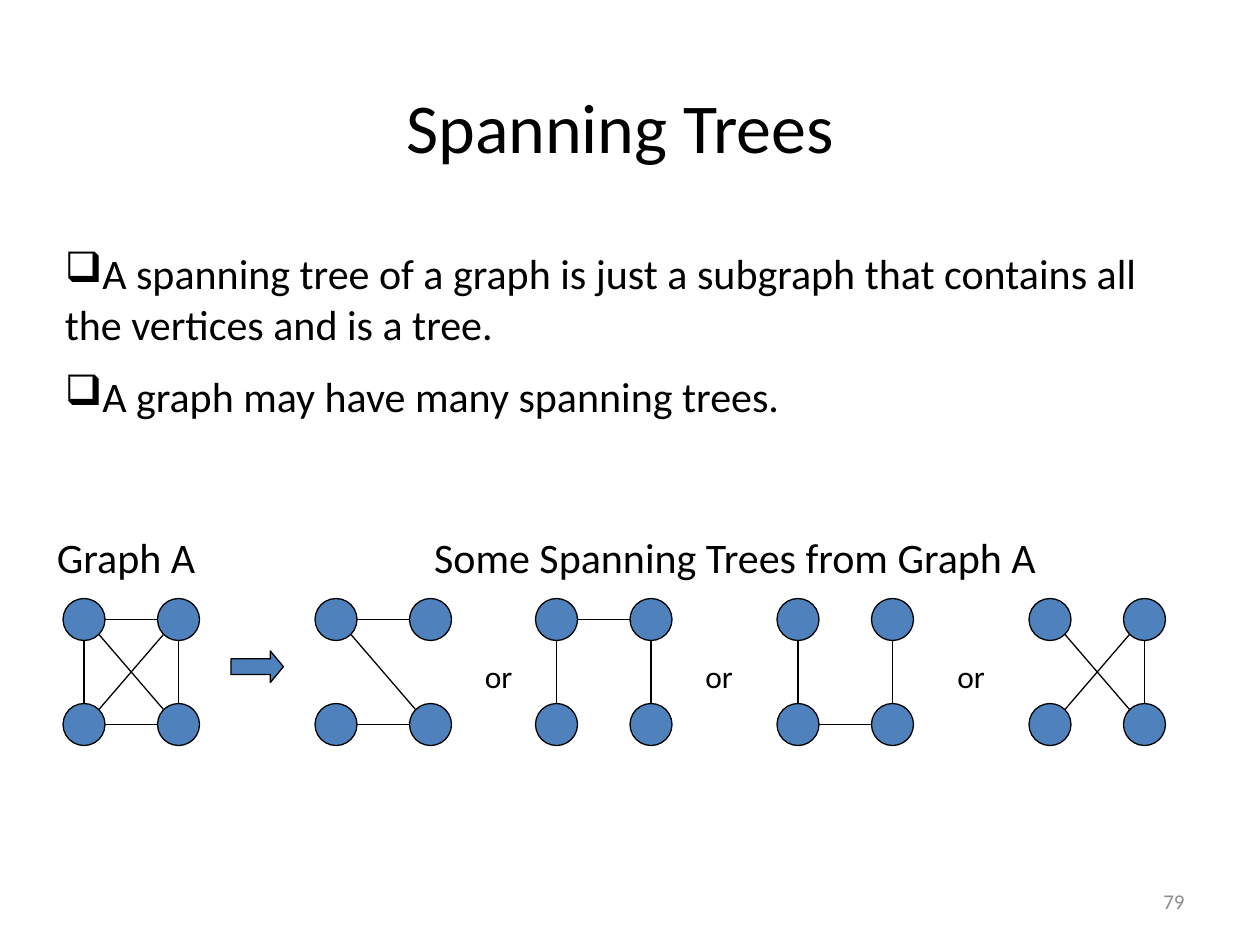
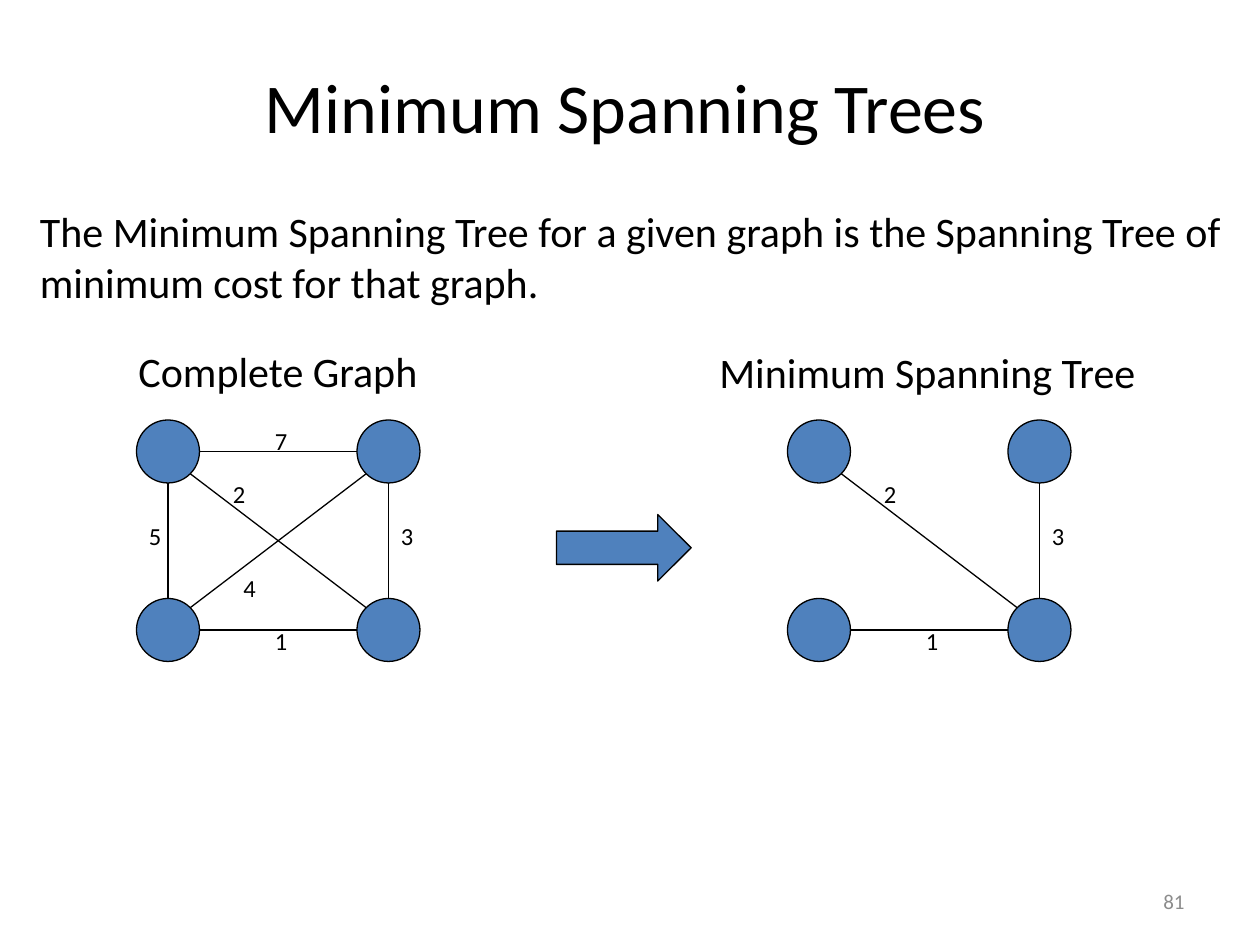
import math
from dataclasses import dataclass
from typing import NamedTuple

import pptx
import pptx.dml.color
import pptx.enum.shapes
import pptx.enum.text
import pptx.oxml.ns
import pptx.shapes.autoshape
import pptx.slide
import pptx.util
from lxml import etree

Pt = pptx.util.Pt
RGBColor = pptx.dml.color.RGBColor
MSO_SHAPE = pptx.enum.shapes.MSO_SHAPE
PP_ALIGN = pptx.enum.text.PP_ALIGN
MSO_ANCHOR = pptx.enum.text.MSO_ANCHOR
qn = pptx.oxml.ns.qn

BLACK = RGBColor(0x00, 0x00, 0x00)
BLUE = RGBColor(0x4F, 0x81, 0xBD)
GREY = RGBColor(0x8C, 0x8C, 0x8C)
FONT = "Calibri"
LINE_WIDTH = 0.75
TITLE_SIZE, BODY_SIZE, OR_SIZE, WEIGHT_SIZE, NUMBER_SIZE = 40, 24, 18, 14, 12


class Box(NamedTuple):
    left: float
    top: float
    width: float
    height: float

    def emu(self) -> list[int]:
        return [Pt(v) for v in self]


class Node(NamedTuple):
    col: int
    row: int


class Edge(NamedTuple):
    start: Node
    end: Node


class Weight(NamedTuple):
    """A cost, with its label's offset from the graph's top left corner."""
    cost: str
    dx: float
    dy: float


@dataclass(frozen=True)
class GraphStyle:
    diameter: float
    col_step: float
    row_step: float
    weighted: bool = False


@dataclass(frozen=True)
class Graph:
    left: float
    top: float
    edges: tuple[Edge, ...]


NODES = TL, TR, BL, BR = Node(0, 0), Node(1, 0), Node(0, 1), Node(1, 1)
TOP, LEFT, BOTTOM, RIGHT = Edge(TL, TR), Edge(TL, BL), Edge(BL, BR), Edge(TR, BR)
RISING, FALLING = Edge(TR, BL), Edge(TL, BR)
ALL_EDGES = (TOP, LEFT, BOTTOM, RIGHT, RISING, FALLING)
WEIGHTS = {
    LEFT: Weight("5", 0, 54),
    TOP: Weight("7", 72, 0),
    FALLING: Weight("2", 48, 30),
    BOTTOM: Weight("1", 72, 114),
    RIGHT: Weight("3", 144, 54),
    RISING: Weight("4", 54, 84),
}

SMALL = GraphStyle(diameter=24, col_step=54, row_step=60)
LARGE = GraphStyle(diameter=36, col_step=126, row_step=102, weighted=True)

SMALL_TOP, LARGE_TOP = 342, 240
GRAPH_A_AND_TREES = (
    Graph(36, SMALL_TOP, ALL_EDGES),
    Graph(180, SMALL_TOP, (TOP, BOTTOM, FALLING)),
    Graph(306, SMALL_TOP, (TOP, LEFT, RIGHT)),
    Graph(444, SMALL_TOP, (LEFT, BOTTOM, RIGHT)),
    Graph(588, SMALL_TOP, (RIGHT, RISING, FALLING)),
)
COMPLETE_AND_MINIMUM = (
    Graph(78, LARGE_TOP, ALL_EDGES),
    Graph(450, LARGE_TOP, (BOTTOM, RIGHT, FALLING)),
)
OR_LEFTS = (270, 396, 540)


def add_text(slide: pptx.slide.Slide, box: Box, *lines: str, size: float = BODY_SIZE,
             color: RGBColor = BLACK, align: PP_ALIGN = PP_ALIGN.LEFT,
             wrap: bool = True) -> pptx.shapes.autoshape.Shape:
    sp = slide.shapes.add_textbox(*box.emu())
    tf = sp.text_frame
    tf.word_wrap = wrap
    tf.text = "\n".join(lines)
    for p in tf.paragraphs:
        p.alignment = align
        p.font.name = FONT
        p.font.size = Pt(size)
        p.font.color.rgb = color
    return sp


def add_bullets(slide: pptx.slide.Slide, box: Box, *lines: str) -> None:
    sp = add_text(slide, box, *lines)
    for i, p in enumerate(sp.text_frame.paragraphs):
        if i:
            p.space_before = Pt(12.5)
        pPr = p._p.get_or_add_pPr()
        pPr.set("marL", "0")
        pPr.set("indent", "0")
        bullet = etree.Element(qn("a:buChar"), char="❑")
        pPr.find(qn("a:defRPr")).addprevious(bullet)


def add_blue_shape(slide: pptx.slide.Slide, kind: MSO_SHAPE,
                   box: Box) -> pptx.shapes.autoshape.Shape:
    sp = slide.shapes.add_shape(kind, *box.emu())
    sp.shadow.inherit = False
    sp.fill.solid()
    sp.fill.fore_color.rgb = BLUE
    sp.line.color.rgb = BLACK
    sp.line.width = Pt(LINE_WIDTH)
    return sp


def add_arrow(slide: pptx.slide.Slide, box: Box, head: float) -> None:
    sp = add_blue_shape(slide, MSO_SHAPE.RIGHT_ARROW, box)
    sp.adjustments[0] = 0.5
    sp.adjustments[1] = head


def add_edge(slide: pptx.slide.Slide, graph: Graph, style: GraphStyle, edge: Edge) -> None:
    """Draw a line between the facing rims of two nodes."""
    radius = style.diameter / 2
    dx, dy = edge.end.col - edge.start.col, edge.end.row - edge.start.row
    reach = radius / math.hypot(dx, dy)
    ends = []
    for node, sign in ((edge.start, 1), (edge.end, -1)):
        ends.append(Pt(graph.left + node.col * style.col_step + radius + sign * dx * reach))
        ends.append(Pt(graph.top + node.row * style.row_step + radius + sign * dy * reach))
    line = slide.shapes.add_connector(pptx.enum.shapes.MSO_CONNECTOR.STRAIGHT, *ends)
    line.line.color.rgb = BLACK
    line.line.width = Pt(LINE_WIDTH)
    etree.SubElement(line._element.spPr, qn("a:effectLst"))


def add_graph(slide: pptx.slide.Slide, graph: Graph, style: GraphStyle) -> None:
    for node in NODES:
        add_blue_shape(slide, MSO_SHAPE.OVAL, Box(
            graph.left + node.col * style.col_step,
            graph.top + node.row * style.row_step,
            style.diameter, style.diameter))
    for edge in graph.edges:
        add_edge(slide, graph, style, edge)
        if style.weighted:
            weight = WEIGHTS[edge]
            add_text(slide, Box(graph.left + weight.dx, graph.top + weight.dy, 21.6, 24),
                     weight.cost, size=WEIGHT_SIZE, wrap=False)


def add_slide(prs: pptx.presentation.Presentation, title: str, title_box: Box,
              number: int) -> pptx.slide.Slide:
    slide = prs.slides.add_slide(prs.slide_layouts[6])
    add_text(slide, title_box, title, size=TITLE_SIZE, align=PP_ALIGN.CENTER)
    sp = add_text(slide, Box(516, 500.5, 168, 28.75), str(number),
                  size=NUMBER_SIZE, color=GREY, align=PP_ALIGN.RIGHT)
    sp.text_frame.vertical_anchor = MSO_ANCHOR.MIDDLE
    return slide


def build_spanning_trees(prs: pptx.presentation.Presentation) -> None:
    slide = add_slide(prs, "Spanning Trees", Box(178.5, 44, 351.5, 55.5), 79)
    add_bullets(slide, Box(30, 138, 660, 160),
                "A spanning tree of a graph is just a subgraph that contains all "
                "the vertices and is a tree.",
                "A graph may have many spanning trees.")
    for graph in GRAPH_A_AND_TREES:
        add_graph(slide, graph, SMALL)
    add_arrow(slide, Box(132, 372, 30, 18), head=0.417)
    for left in OR_LEFTS:
        add_text(slide, Box(left, 372, 30, 29), "or", size=OR_SIZE)
    add_text(slide, Box(241, 300, 372, 36), "Some Spanning Trees from Graph A")
    add_text(slide, Box(25.5, 300, 103, 36), "Graph A")


def build_minimum_spanning_trees(prs: pptx.presentation.Presentation) -> None:
    slide = add_slide(prs, "Minimum Spanning Trees", Box(116, 33, 482.5, 55.5), 81)
    add_text(slide, Box(15.75, 114, 704.25, 65.5),
             "The Minimum Spanning Tree for a given graph is the Spanning Tree of "
             "minimum cost for that graph.")
    for graph in COMPLETE_AND_MINIMUM:
        add_graph(slide, graph, LARGE)
    add_arrow(slide, Box(318, 294, 77, 38), head=0.502)
    add_text(slide, Box(72, 194, 175.5, 36), "Complete Graph", wrap=False)
    add_text(slide, Box(404, 194.5, 257, 36), "Minimum Spanning Tree", wrap=False)


def main() -> None:
    prs = pptx.Presentation()
    prs.slide_width, prs.slide_height = Pt(720), Pt(540)
    build_spanning_trees(prs)
    build_minimum_spanning_trees(prs)
    prs.save("out.pptx")


if __name__ == "__main__":
    main()
